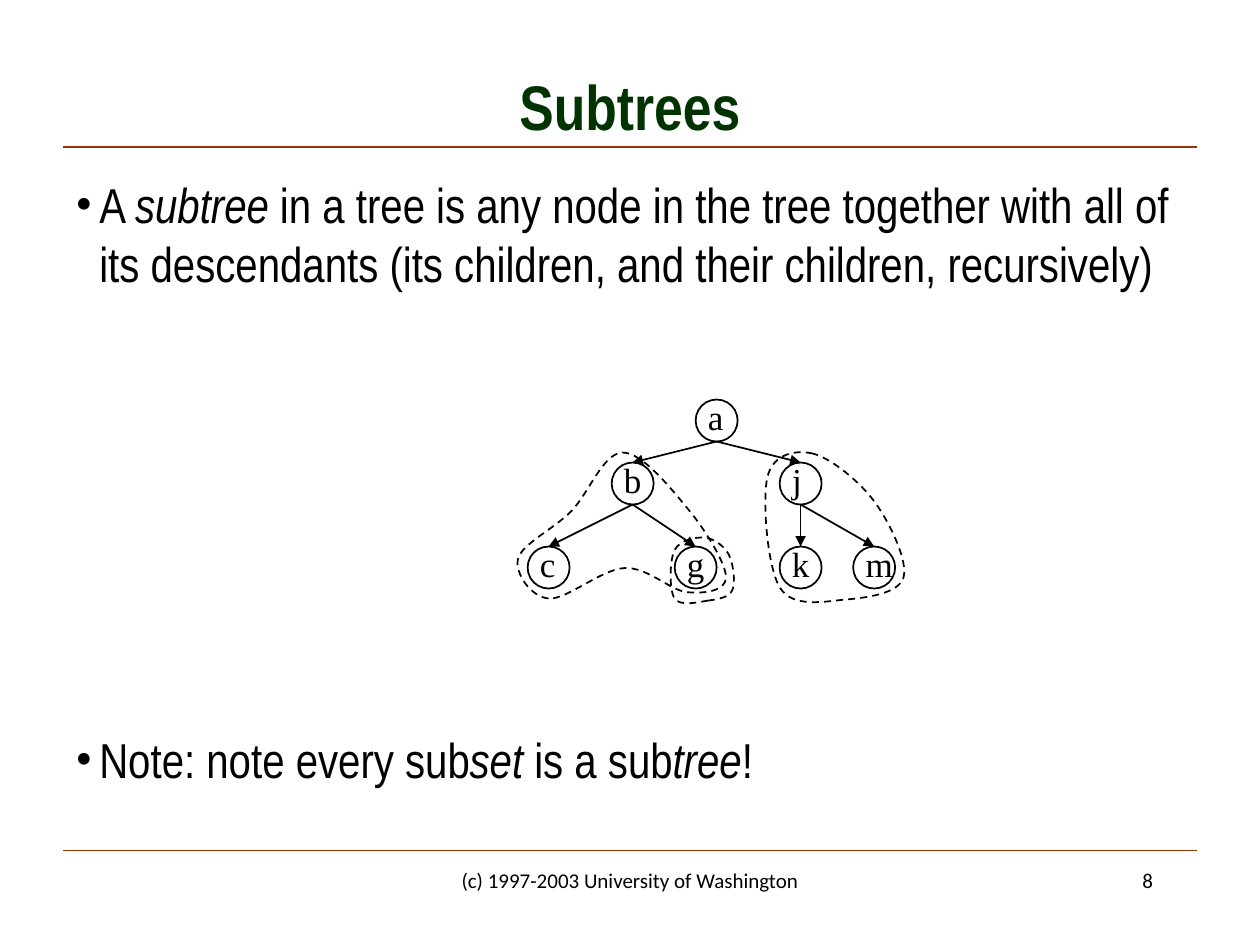
from lxml import etree
from pptx import Presentation
from pptx.dml.color import RGBColor
from pptx.enum.dml import MSO_LINE
from pptx.enum.shapes import MSO_CONNECTOR, MSO_SHAPE
from pptx.enum.text import MSO_ANCHOR, MSO_AUTO_SIZE, PP_ALIGN
from pptx.oxml.ns import qn
from pptx.util import Inches, Pt

STRAIGHT = MSO_CONNECTOR.STRAIGHT
OVAL = MSO_SHAPE.OVAL
DASH = MSO_LINE.DASH
TOP, MIDDLE = MSO_ANCHOR.TOP, MSO_ANCHOR.MIDDLE
LEFT, CENTER, RIGHT = PP_ALIGN.LEFT, PP_ALIGN.CENTER, PP_ALIGN.RIGHT

presentation = Presentation()
presentation.slide_width = Inches(10)
presentation.slide_height = Inches(7.5)
CELL = presentation.slide_width / 120
slide = presentation.slides.add_slide(presentation.slide_layouts[5])


def grid(*cells):
    return [round(cell * CELL) for cell in cells]


def write(shape, paragraphs, font_name, size, color="000000", bold=False,
          align=LEFT, anchor=TOP, wrap=True):
    frame = shape.text_frame
    frame_format = {"word_wrap": wrap, "auto_size": MSO_AUTO_SIZE.NONE,
                    "vertical_anchor": anchor}
    for name, value in frame_format.items():
        setattr(frame, name, value)
    for index, runs in enumerate(paragraphs):
        paragraph = frame.add_paragraph() if index else frame.paragraphs[0]
        paragraph.alignment = align
        for text, italic in runs:
            run = paragraph.add_run()
            run.text = text
            font_format = {"name": font_name, "size": Pt(size), "bold": bold, "italic": italic}
            for name, value in font_format.items():
                setattr(run.font, name, value)
            run.font.color.rgb = RGBColor.from_string(color)
    return frame


for row in (14, 81):
    rule = slide.shapes.add_connector(STRAIGHT, *grid(6, row, 114, row))
    rule.line.color.rgb = RGBColor.from_string("993300")
    rule.line.width = Pt(0.75)
    etree.SubElement(rule._element.spPr, qn("a:effectLst"))

title = slide.shapes.title
title.left, title.top, title.width, title.height = grid(6, 6, 108, 8)
write(title, [[("Subtrees", False)]], "Arial Narrow", 36, "003300", True, CENTER, MIDDLE)

bullets = [
    [("A ", False), ("subtree", True),
     (" in a tree is any node in the tree together with all of its descendants "
      "(its children, and their children, recursively)", False)],
    [("Note: note every sub", False), ("set", True), (" is a sub", False),
     ("tree", True), ("!", False)],
]
body = slide.shapes.add_textbox(*grid(6, 16, 108, 64))
body_frame = write(body, bullets, "Arial Narrow", 28)
for paragraph, space in zip(body_frame.paragraphs, (7, 250)):
    paragraph.space_before = Pt(space)
    properties = paragraph._p.get_or_add_pPr()
    properties.set("marL", str(Inches(0.19)))
    properties.set("indent", str(-Inches(0.19)))
    etree.SubElement(properties, qn("a:buFont"), typeface="Times New Roman")
    etree.SubElement(properties, qn("a:buChar"), char="•")

DIAMETER = 4
RADIUS = DIAMETER / 2
nodes = {
    "a": (68.25, 40.05, 3.8), "b": (60.25, 46.05, 4.1), "c": (52.25, 54.05, 3.8),
    "g": (66.25, 54.05, 4.1), "j": (76.25, 46.05, 3.3), "k": (76.25, 54.05, 4.1),
    "m": (83.25, 54.05, 4.9),
}
tree = slide.shapes.add_group_shape()
outlined = []
for column, row, label_width in nodes.values():
    circle = tree.shapes.add_shape(
        OVAL, *grid(column - RADIUS, row - RADIUS, DIAMETER, DIAMETER))
    outlined.append(circle)

for parent, child in ("ab", "aj", "bc", "bg", "jk", "jm"):
    start_column, start_row, _ = nodes[parent]
    end_column, end_row, _ = nodes[child]
    arrow = tree.shapes.add_connector(
        STRAIGHT, *grid(start_column, start_row + RADIUS, end_column, end_row - RADIUS))
    arrow.line.color.rgb = RGBColor.from_string("000000")
    arrow.line.width = Pt(1)
    etree.SubElement(arrow.line._get_or_add_ln(), qn("a:tailEnd"), type="triangle")
    etree.SubElement(arrow._element.spPr, qn("a:effectLst"))

for letter, (column, row, label_width) in nodes.items():
    label = tree.shapes.add_textbox(*grid(column - RADIUS, row - 3, label_width, 5.25))
    write(label, [[(letter, False)]], "Times New Roman", 20, wrap=False)

subtree_knots = [
    [(52.25, 57), (49.35, 53.2), (54.4, 48.7), (59.3, 43.1),
     (65.55, 48.5), (69.15, 55), (65.45, 56.4), (59.5, 54.1)],
    [(77.4, 43.2), (73.1, 45.4), (74.3, 56), (80.55, 57.1), (86.05, 55), (83.3, 47.8)],
    [(67.45, 57.2), (64.25, 57), (64.25, 52.4), (67.1, 51.2), (69.4, 52.8), (69.75, 56.2)],
]
for knots in subtree_knots:
    points = []
    for index, knot in enumerate(knots):
        before = knots[index - 1]
        following = knots[(index + 1) % len(knots)]
        after = knots[(index + 2) % len(knots)]
        leaving = [p1 + (p2 - p0) / 6 for p0, p1, p2 in zip(before, knot, following)]
        arriving = [p2 - (p3 - p1) / 6 for p1, p2, p3 in zip(knot, following, after)]
        points += [grid(*leaving), grid(*arriving), grid(*following)]
    builder = tree.shapes.build_freeform(*grid(*knots[0]))
    builder.add_line_segments(points, close=True)
    boundary = builder.convert_to_shape()
    segments = list(boundary._element.iter(qn("a:lnTo")))
    for first in range(0, len(segments), 3):
        curve = etree.Element(qn("a:cubicBezTo"))
        segments[first].addprevious(curve)
        for segment in segments[first:first + 3]:
            curve.append(segment[0])
            segment.getparent().remove(segment)
    boundary.line.dash_style = DASH
    outlined.append(boundary)

for shape in outlined:
    shape.shadow.inherit = False
    shape.fill.background()
    shape.line.color.rgb = RGBColor.from_string("000000")
    shape.line.width = Pt(1)

footers = [
    ("(c) 1997-2003 University of Washington", 41, 38, CENTER),
    ("8", 86, 25, RIGHT),
]
for text, column, width, align in footers:
    footer = slide.shapes.add_textbox(*grid(column, 82, width, 6))
    write(footer, [[(text, False)]], "Calibri", 12, align=align)

presentation.save("out.pptx")
